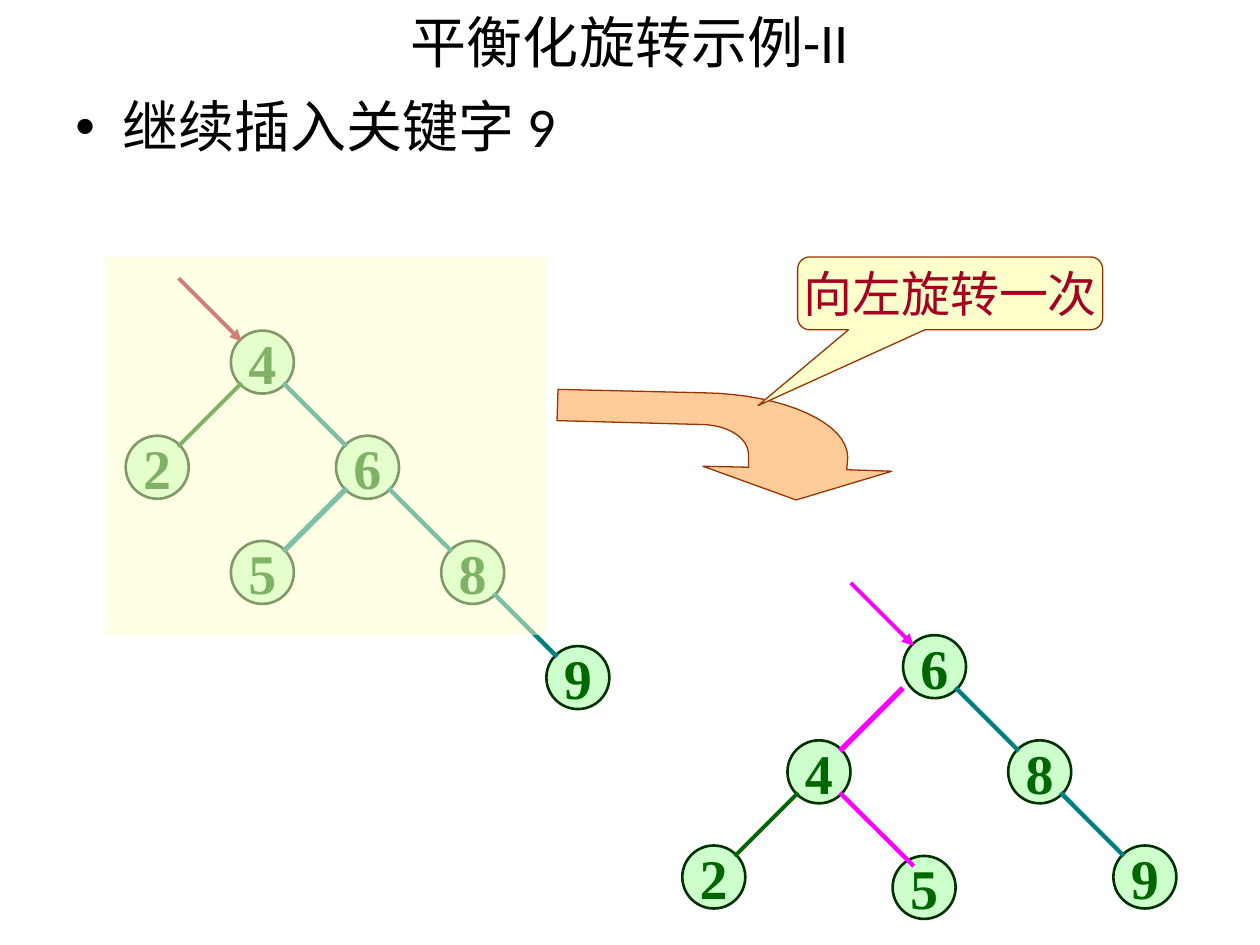
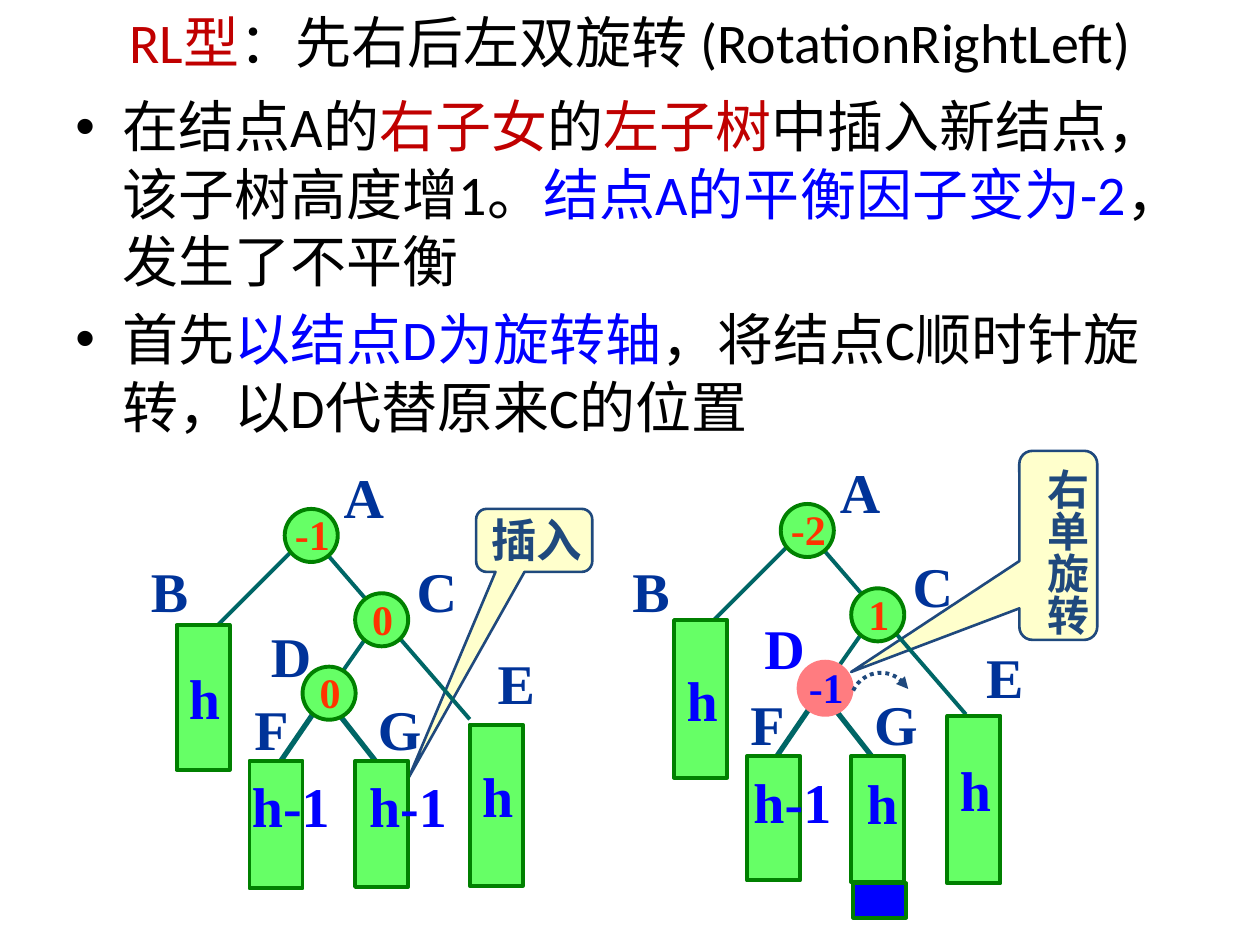
from dataclasses import dataclass

from lxml import etree
from pptx import Presentation
from pptx import util as u
from pptx.dml.color import RGBColor
from pptx.enum import dml, shapes, text
from pptx.oxml.ns import qn

# Shared colours and fonts
BLACK = RGBColor(0x00, 0x00, 0x00)
RED = RGBColor(0xC0, 0x00, 0x00)
BLUE = RGBColor(0x00, 0x00, 0xFF)
NAVY = RGBColor(0x1F, 0x49, 0x7D)
LABEL_BLUE = RGBColor(0x00, 0x33, 0x99)
FACTOR_RED = RGBColor(0xFF, 0x33, 0x00)
CRIMSON = RGBColor(0xA5, 0x00, 0x21)
MAGENTA = RGBColor(0xFF, 0x00, 0xFF)
TEAL = RGBColor(0x00, 0x80, 0x80)
DARK_TEAL = RGBColor(0x00, 0x66, 0x66)
KEY_GREEN = RGBColor(0x00, 0x66, 0x00)
NODE_EDGE = RGBColor(0x00, 0x33, 0x00)
PALE_GREEN = RGBColor(0xCC, 0xFF, 0xCC)
BRIGHT_GREEN = RGBColor(0x66, 0xFF, 0x66)
BOX_EDGE = RGBColor(0x00, 0x80, 0x00)
PINK = RGBColor(0xFF, 0x7C, 0x80)
CREAM = RGBColor(0xFF, 0xFF, 0xCC)
PEACH = RGBColor(0xFF, 0xCC, 0x99)
BROWN = RGBColor(0x99, 0x33, 0x00)
HEADING_FONT, DIAGRAM_FONT = "Calibri", "Times New Roman"

Point = tuple[float, float]
Spans = list[tuple[str, RGBColor]]
LEFT, CENTER = text.PP_ALIGN.LEFT, text.PP_ALIGN.CENTER
OVAL, RECT = shapes.MSO_SHAPE.OVAL, shapes.MSO_SHAPE.RECTANGLE
CALLOUT = shapes.MSO_SHAPE.ROUNDED_RECTANGULAR_CALLOUT


@dataclass(frozen=True)
class Area:
    left: float
    top: float
    width: float
    height: float

    def lengths(self) -> list[u.Length]:
        return [u.Cm(v) for v in (self.left, self.top, self.width, self.height)]


@dataclass(frozen=True)
class Edge:
    start: Point
    end: Point
    color: RGBColor
    weight: float
    arrow: bool = False


@dataclass(frozen=True)
class Mark:
    text: str
    left: float
    top: float
    width: float = 1.32
    color: RGBColor = LABEL_BLUE


@dataclass(frozen=True)
class Subtree:
    left: float
    top: float
    height: float
    text: str = ""
    spacing: float = 1.0


@dataclass(frozen=True)
class HeightTree:
    dx: float
    dy: float
    subtrees: list[Subtree]
    marks: list[Mark]
    factors: list[tuple[str, RGBColor]]  # balance of A, C, D
    pivot: RGBColor                      # fill of D
    pivot_edge: RGBColor


TITLE_AREA = Area(1.27, -0.08, 22.86, 1.8)
BODY_AREA = Area(1.27, 1.73, 22.86, 17.32)


# Drawing helpers
def format_span(span, font: str, size: float, color: RGBColor, bold: bool = False) -> None:
    span.font.name, span.font.size, span.font.bold = font, u.Pt(size), bold
    span.font.color.rgb = color


def add_spans(para, spans: Spans) -> None:
    for words, color in spans:
        span = para.add_run()
        span.text = words
        format_span(span, HEADING_FONT, 32, color)


def write(box, words: str, size: float, color: RGBColor, bold: bool = True,
          align=LEFT, spacing: float = 1.0) -> None:
    box.text_frame.text = words
    box.text_frame.word_wrap = False
    para = box.text_frame.paragraphs[0]
    para.alignment, para.line_spacing = align, spacing
    format_span(para.runs[0], DIAGRAM_FONT, size, color, bold)


def add_form(page, kind, area: Area, fill: RGBColor, line: RGBColor | None = None,
             weight: float = 2.25):
    form = page.shapes.add_shape(kind, *area.lengths())
    paint(form, fill, line, weight)
    form.text_frame.vertical_anchor = text.MSO_ANCHOR.MIDDLE
    return form


def paint(form, fill: RGBColor | None, line: RGBColor | None, weight: float) -> None:
    form.shadow.inherit = False
    if fill is None:
        form.fill.background()
    else:
        form.fill.solid()
        form.fill.fore_color.rgb = fill
    if line is None:
        form.line.fill.background()
    else:
        form.line.color.rgb, form.line.width = line, u.Pt(weight)


def add_label(page, words: str, area: Area, size: float, color: RGBColor):
    box = page.shapes.add_textbox(*area.lengths())
    write(box, words, size, color)
    box.text_frame.auto_size = text.MSO_AUTO_SIZE.SHAPE_TO_FIT_TEXT
    return box


def add_arrowhead(form) -> None:
    line = form.element.spPr.find(qn("a:ln"))
    etree.SubElement(line, qn("a:tailEnd"), type="triangle")


def add_edge(page, edge: Edge) -> None:
    ends = [u.Cm(v) for v in edge.start + edge.end]
    line = page.shapes.add_connector(shapes.MSO_CONNECTOR.STRAIGHT, *ends)
    line.line.color.rgb, line.line.width = edge.color, u.Pt(edge.weight)
    if edge.arrow:
        add_arrowhead(line)
    etree.SubElement(line.element.spPr, qn("a:effectLst"))


def curve(start: Point, first: Point, second: Point, end: Point, steps: int = 16) -> list[Point]:
    """Points of a cubic curve, start included."""
    points = []
    for step in range(steps + 1):
        t = step / steps
        weights = ((1 - t) ** 3, 3 * t * (1 - t) ** 2, 3 * t * t * (1 - t), t ** 3)
        corners = (start, first, second, end)
        points.append(tuple(sum(w * p[axis] for w, p in zip(weights, corners))
                            for axis in (0, 1)))
    return points


def add_outline(page, points: list[Point], close: bool):
    corners = [(u.Cm(x), u.Cm(y)) for x, y in points]
    builder = page.shapes.build_freeform(*corners[0])
    builder.add_line_segments(corners[1:], close=close)
    return builder.convert_to_shape()


def add_callout(page, area: Area, tail: Point, line: RGBColor, weight: float,
                flip: bool = False, turn: float = 0):
    form = add_form(page, CALLOUT, area, CREAM, line, weight)
    form.adjustments[0], form.adjustments[1] = tail
    form.rotation = turn
    if flip:
        form.element.spPr.get_or_add_xfrm().set("flipV", "1")
    return form


def add_headings(page, title: Spans, bullets: list[Spans]) -> None:
    box = page.shapes.add_textbox(*TITLE_AREA.lengths())
    box.text_frame.word_wrap = True
    box.text_frame.vertical_anchor = text.MSO_ANCHOR.MIDDLE
    box.text_frame.paragraphs[0].alignment = CENTER
    add_spans(box.text_frame.paragraphs[0], title)

    frame = page.shapes.add_textbox(*BODY_AREA.lengths()).text_frame
    frame.word_wrap = True
    for index, spans in enumerate(bullets):
        para = frame.add_paragraph() if index else frame.paragraphs[0]
        props = para._p.get_or_add_pPr()
        props.set("marL", str(u.Cm(0.95)))
        props.set("indent", str(-u.Cm(0.95)))
        etree.SubElement(props, qn("a:buFont"), typeface="Arial")
        etree.SubElement(props, qn("a:buChar"), char="•")
        if index:
            para.space_before = u.Pt(6.4)
        add_spans(para, spans)


# Slide 1: search trees whose nodes sit on a diagonal grid
NODE, STEP, RIM = 1.27, 2.12, 0.42


def add_nodes(page, nodes: dict[str, Point]) -> None:
    for key, (x, y) in nodes.items():
        area = Area(x - NODE / 2, y - NODE / 2, NODE, NODE)
        write(add_form(page, OVAL, area, PALE_GREEN, NODE_EDGE, 1.5),
              key, 32, KEY_GREEN, align=CENTER)


def link(parent: Point, child: Point, color: RGBColor, weight: float) -> Edge:
    side = RIM if child[0] > parent[0] else -RIM
    return Edge((parent[0] + side, parent[1] + RIM),
                (child[0] - side, child[1] - RIM), color, weight)


def pointer(root: Point, color: RGBColor) -> Edge:
    x, y = root
    return Edge((x - 1.69, y - 1.69), (x - RIM, y - RIM), color, 2.25, arrow=True)


def on_grid(root: Point, column: int, row: int) -> Point:
    return root[0] + column * STEP, root[1] + row * STEP


def build_left_rotation(page) -> None:
    # Tree before the rotation, veiled except for the new key
    root = (5.29, 7.3)
    before = {key: on_grid(root, *cell) for key, cell in
              {"4": (0, 0), "2": (-1, 1), "6": (1, 1), "5": (0, 2),
               "8": (2, 2), "9": (3, 3)}.items()}
    add_nodes(page, before)
    for parent, child, color, weight in (("4", "2", KEY_GREEN, 2.25), ("4", "6", TEAL, 2.5),
                                         ("6", "5", TEAL, 3), ("6", "8", TEAL, 2.5),
                                         ("8", "9", TEAL, 2.5)):
        add_edge(page, link(before[parent], before[child], color, weight))
    add_edge(page, pointer(root, CRIMSON))
    veil = add_form(page, RECT, Area(2.11, 5.18, 8.89, 7.62), CREAM)
    tint = veil.element.spPr.find(qn("a:solidFill"))[0]
    etree.SubElement(tint, qn("a:alpha"), val="50000")

    # Tree after the rotation
    root, pivot = (18.84, 13.44), (16.51, 15.56)
    after = {"6": root, "8": on_grid(root, 1, 1), "9": on_grid(root, 2, 2),
             "4": pivot, "2": on_grid(pivot, -1, 1), "5": (18.63, 17.89)}
    add_nodes(page, after)
    for edge in (link(pivot, after["2"], KEY_GREEN, 2.25),
                 link(root, after["8"], TEAL, 2.5),
                 link(after["8"], after["9"], TEAL, 2.5),
                 pointer(root, MAGENTA),
                 Edge((18.2, 13.87), (16.93, 15.14), MAGENTA, 3),
                 Edge((16.93, 15.98), (18.42, 17.46), MAGENTA, 2.5)):
        add_edge(page, edge)

    # Bent arrow and its callout
    bend = [(16.05, 10.08), (17.98, 9.5), (17.07, 9.47),
            *curve((17.09, 9.22), (17.09, 8.53), (15.82, 7.95), (14.2, 7.92)),
            (11.25, 7.85), (11.23, 8.48),
            *curve((14.2, 8.56), (14.71, 8.59), (15.09, 8.84), (15.09, 9.17)),
            (15.09, 9.42), (14.17, 9.4)]
    paint(add_outline(page, bend, close=True), PEACH, BROWN, 0.75)
    callout = add_callout(page, Area(16.08, 5.18, 6.15, 1.47), (-0.63, 1.54), BROWN, 0.75)
    write(callout, "向左旋转一次", 28, CRIMSON, bold=False, align=CENTER)
    add_headings(page, [("平衡化旋转示例-II", BLACK)], [[("继续插入关键字 9", BLACK)]])


# Slide 2: trees with subtree heights
CELL = 1.07
TREE_EDGES = [((5.89, 11.1), (3.99, 13), 2.25), ((6.53, 11.1), (9.47, 14.5), 2.25),
              ((7.42, 12.8), (6.53, 14.07), 2.25), ((6.53, 14.07), (5.6, 15.43), 3),
              ((6.73, 14.27), (7.57, 15.34), 3)]
TREE_NODES = [(5.74, 10.26), (7.16, 11.96), (6.1, 13.44)]
SHARED_MARKS = [Mark("A", 6.68, 9.2), Mark("C", 8.15, 11.1),
                Mark("F", 4.88, 13.87, 1.19), Mark("G", 7.37, 13.87, 1.4)]

INSERTED = HeightTree(
    0, 0,
    [Subtree(3.56, 12.6, 2.92, "h"), Subtree(9.47, 14.61, 3.25, "h", 0.6),
     Subtree(5.03, 15.34, 2.57), Subtree(7.16, 15.34, 2.54)],
    [Mark("B", 2.79, 11.1, 1.27), Mark("D", 5.21, 12.4), Mark("E", 9.78, 12.95, 1.27),
     Mark("h-1", 4.83, 15.42, 2.08, BLUE), Mark("h-1", 7.19, 15.42, 2.08, BLUE)],
    [("-1", FACTOR_RED), ("0", FACTOR_RED), ("0", FACTOR_RED)], BRIGHT_GREEN, BOX_EDGE)
UNBALANCED = HeightTree(
    10, -0.1,
    [Subtree(3.59, 12.6, 3.18, "h"), Subtree(9.1, 14.53, 3.38, "h", 0.6),
     Subtree(5.06, 15.34, 2.51), Subtree(7.16, 15.34, 2.54)],
    [Mark("B", 2.5, 11.2, 1.27), Mark("D", 5.16, 12.34, color=BLUE),
     Mark("E", 9.63, 12.93, 1.27), Mark("h-1", 4.94, 15.44, 2.08, BLUE),
     Mark("h", 7.22, 15.47, 1.14, BLUE)],
    [("-2", FACTOR_RED), ("1", FACTOR_RED), ("-1", BLUE)], PINK, PINK)


def add_height_tree(page, tree: HeightTree) -> None:
    dx, dy = tree.dx, tree.dy
    for (x1, y1), (x2, y2), weight in TREE_EDGES:
        add_edge(page, Edge((x1 + dx, y1 + dy), (x2 + dx, y2 + dy), DARK_TEAL, weight))
    for part in tree.subtrees:
        box = add_form(page, RECT, Area(part.left + dx, part.top + dy, CELL, part.height),
                       BRIGHT_GREEN, BOX_EDGE)
        if part.text:
            write(box, part.text, 32, BLUE, spacing=part.spacing)
    paints = [(BRIGHT_GREEN, BOX_EDGE)] * 2 + [(tree.pivot, tree.pivot_edge)]
    for (x, y), (fill, line), (factor, color) in zip(TREE_NODES, paints, tree.factors):
        add_form(page, OVAL, Area(x + dx, y + dy, CELL, CELL), fill, line)
        width = 0.94 if len(factor) == 1 else 1.22
        area = Area(x + dx + (CELL - width) / 2 + 0.03, y + dy - 0.13, width, 1.28)
        add_label(page, factor, area, 24, color)
    for mark in SHARED_MARKS + tree.marks:
        area = Area(mark.left + dx, mark.top + dy, mark.width, 1.6)
        add_label(page, mark.text, area, 32, mark.color)


def build_right_left_rotation(page) -> None:
    add_callout(page, Area(9.6, 10.26, 2.34, 1.27), (-1.08, -3.76), NAVY, 1.5, flip=True)
    add_label(page, "插入", Area(9.65, 10.19, 2.36, 1.35), 26, NAVY)
    add_height_tree(page, INSERTED)

    add_callout(page, Area(19.43, 10.21, 3.81, 1.57), (0.67, -2.66), NAVY, 1.5,
                flip=True, turn=90)
    side = add_label(page, "右单旋转", Area(20.62, 9.19, 1.52, 3.58), 24, NAVY)
    side.text_frame._txBody.bodyPr.set("vert", "eaVert")
    add_height_tree(page, UNBALANCED)
    add_form(page, RECT, Area(17.2, 17.81, CELL, 0.69), BLUE, BOX_EDGE)

    # Dotted arc showing the turn
    arc = add_outline(page, curve((17.2, 13.92), (17.4, 13.5), (18, 13.4), (18.31, 13.89)),
                      close=False)
    paint(arc, None, NAVY, 2.25)
    arc.line.dash_style = dml.MSO_LINE.ROUND_DOT
    add_arrowhead(arc)
    add_headings(
        page, [("RL型", RED), ("：先右后左双旋转 (RotationRightLeft)", BLACK)],
        [[("在结点A的", BLACK), ("右子女", RED), ("的", BLACK), ("左子树", RED),
          ("中插入新结点，该子树高度增1。", BLACK), ("结点A的平衡因子变为-2", BLUE),
          ("，发生了不平衡", BLACK)],
         [("首先", BLACK), ("以结点D为旋转轴", BLUE),
          ("，将结点C顺时针旋转，以D代替原来C的位置", BLACK)]])


def main() -> None:
    deck = Presentation()
    deck.slide_width, deck.slide_height = u.Cm(25.4), u.Cm(19.05)
    for build in (build_left_rotation, build_right_left_rotation):
        build(deck.slides.add_slide(deck.slide_layouts[6]))
    deck.save("out.pptx")


if __name__ == "__main__":
    main()
